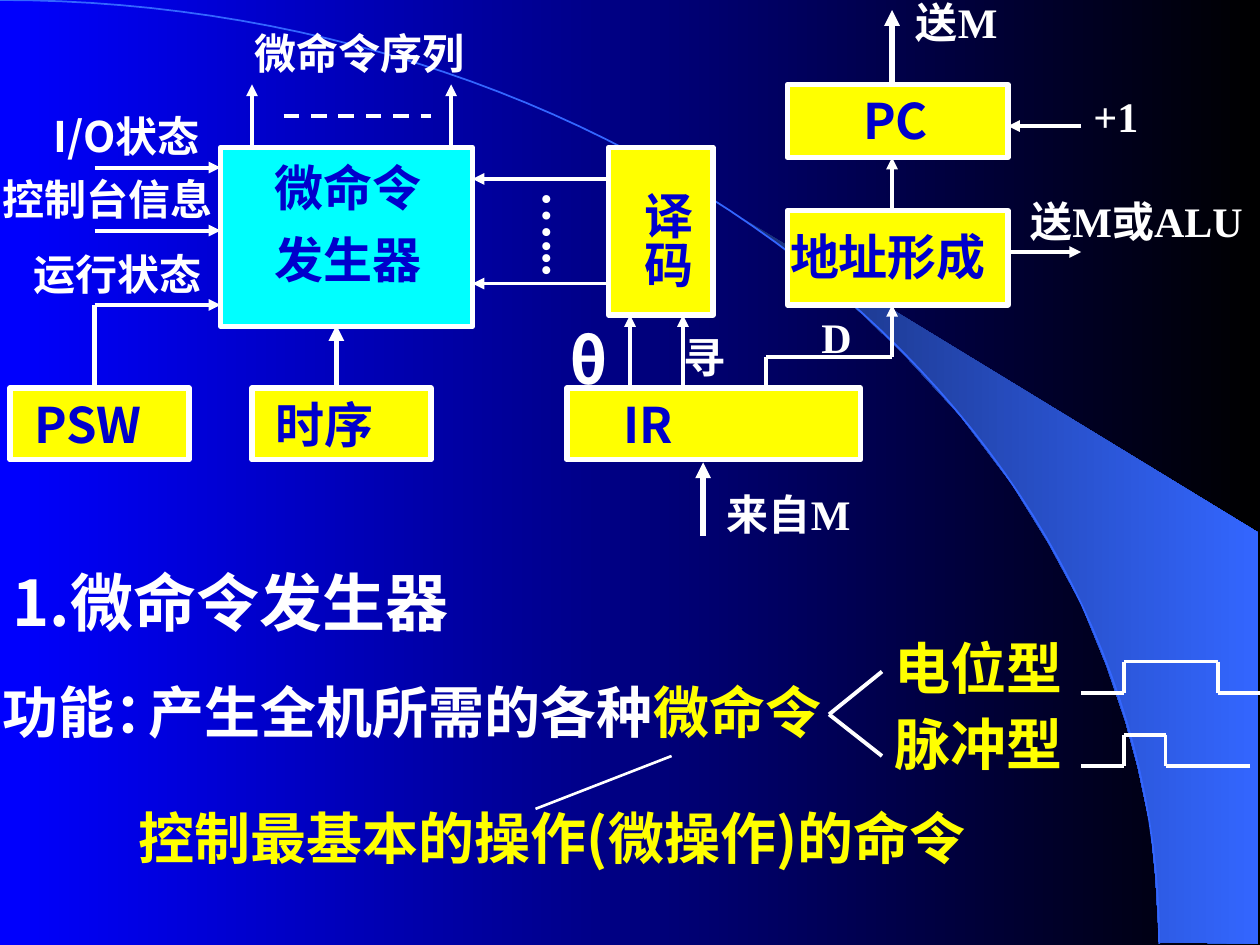
import math
from collections import namedtuple
from itertools import pairwise

from lxml import etree
from pptx import Presentation
from pptx.dml.color import RGBColor
from pptx.enum import dml, shapes, text
from pptx.oxml import ns
from pptx.util import Inches, Pt

WHITE, YELLOW, CYAN, NAVY = "FFFFFF", "FFFF00", "00FFFF", "0000CC"
SERIF, SANS = "Times New Roman", "Noto Sans CJK SC"


class Box(namedtuple("Box", "left top width height")):
    """A rectangle in inches."""

    def inner(self, x, y, width, height):
        """Return a rectangle placed relative to this one."""
        return Box(self.left + x, self.top + y, width, height)

    def point(self, x, y):
        """Return a point of this rectangle as lengths."""
        return Inches(self.left + x), Inches(self.top + y)

    def lengths(self):
        """Return the four sides as lengths."""
        return [Inches(side) for side in self]


def color(value):
    """Turn a hex string into a colour."""
    return RGBColor.from_string(value)


def paint_gradient(fill, first, last):
    """Fill from left to right with two colours."""
    fill.gradient()
    fill.gradient_angle = 0
    for stop, value in zip(fill.gradient_stops, (first, last)):
        stop.color.rgb = color(value)


def write(shape, lines, size, hue, face=SERIF, spacing=None, inset=(0.1, 0.05, 0.1, 0.05)):
    """Write bold lines, each a list of (words, colour or None) spans."""
    frame = shape.text_frame
    frame.word_wrap = True
    frame.vertical_anchor = text.MSO_ANCHOR.TOP
    (frame.margin_left, frame.margin_top,
     frame.margin_right, frame.margin_bottom) = [Inches(side) for side in inset]
    for index, spans in enumerate(lines):
        para = frame.add_paragraph() if index else frame.paragraphs[0]
        para.alignment = text.PP_ALIGN.LEFT
        if spacing:
            para.line_spacing = spacing
        if index:
            para.space_before = Pt(size * 0.625)
        font = para.font
        font.name, font.size, font.bold = face, Pt(size), True
        font.color.rgb = color(hue)
        etree.SubElement(font._element, ns.qn("a:ea"), typeface=SANS)
        for words, accent in spans:
            span = para.add_run()
            span.text = words
            if accent:
                span.font.color.rgb = color(accent)


def add_text(page, box, words, size=24, hue=WHITE, face=SERIF, spacing=None):
    """Add a text box holding one line per string."""
    shape = page.shapes.add_textbox(*box.lengths())
    write(shape, [[(line, None)] for line in words.split("\n")], size, hue, face, spacing)


def add_vertical(page, box, words, hue):
    """Add a text box that reads downwards."""
    shape = page.shapes.add_textbox(*box.lengths())
    write(shape, [[(words, None)]], 28, hue, inset=(0.05, 0.1, 0.05, 0.1))
    shape.text_frame._txBody.bodyPr.set("vert", "eaVert")


def add_unit(page, box, words="", left=0.19, top=0.05, face=SANS, fill=YELLOW, spacing=None):
    """Add a framed hardware unit with its name."""
    unit = page.shapes.add_shape(shapes.MSO_SHAPE.RECTANGLE, *box.lengths())
    unit.shadow.inherit = False
    unit.fill.solid()
    unit.fill.fore_color.rgb = color(fill)
    unit.line.color.rgb = color(WHITE)
    unit.line.width = Pt(3)
    if words:
        write(unit, [[(line, None)] for line in words.split("\n")], 28, NAVY, face, spacing,
              (left, top, 0, 0.05))


def add_lines(page, box, points, width=2.25, arrow=False, dash=False):
    """Join points with straight lines, with an arrowhead at the last if asked."""
    for start, end in pairwise(points):
        link = page.shapes.add_connector(
            shapes.MSO_CONNECTOR.STRAIGHT, *box.point(*start), *box.point(*end))
        link.line.color.rgb = color(WHITE)
        link.line.width = Pt(width)
        if dash:
            link.line.dash_style = dml.MSO_LINE.DASH
        if arrow and end == points[-1]:
            etree.SubElement(link.line._get_or_add_ln(), ns.qn("a:tailEnd"), type="triangle")
        etree.SubElement(link._element.spPr, ns.qn("a:effectLst"))


def add_outline(page, box, points, close):
    """Add a freeform through the points."""
    first, *rest = [box.point(*point) for point in points]
    builder = page.shapes.build_freeform(*first, scale=1.0)
    builder.add_line_segments(rest, close=close)
    shape = builder.convert_to_shape()
    shape.shadow.inherit = False
    return shape


def draw_backdrop(page, box):
    """Draw the gradient, the wedge of light and the arc."""
    paint_gradient(page.background.fill, "0000FF", "000000")
    wedge = add_outline(page, box, [
        (9.2, 7.48), (9.99, 7.49), (9.99, 4.23), (5.89, 1.73), (6.24, 1.99), (6.53, 2.22),
        (6.85, 2.5), (7.16, 2.8), (7.62, 3.3), (8.03, 3.84), (8.32, 4.31), (8.58, 4.79),
        (8.78, 5.28), (8.93, 5.72), (9.03, 6.09), (9.13, 6.56), (9.17, 6.96)], True)
    paint_gradient(wedge.fill, "182F76", "3366FF")
    wedge.line.fill.background()
    angles = [math.radians(1.5 * step) for step in range(61)]
    arc = add_outline(page, box, [
        (9.2 * math.sin(angle), 7.49 * (1 - math.cos(angle))) for angle in angles], False)
    arc.fill.background()
    arc.line.color.rgb = color("3366FF")
    arc.line.width = Pt(1)


def draw_generator(page, box):
    """Draw the generator with its inputs, outputs, status word and timing."""
    add_text(page, box.inner(1.92, 0, 1.92, 0.5), "微命令序列")
    add_lines(page, box, [(2.25, 0.75), (3.42, 0.75)], dash=True)
    for x in (2, 3.58):
        add_lines(page, box, [(x, 1), (x, 0.5)], arrow=True)
    inputs = [("I/O状态", 0.33, 0.66, 1.16, SANS), ("控制台信息", -0.08, 1.16, 1.66, SERIF),
              ("运行状态", 0.17, 1.75, 2.25, SERIF)]
    for words, left, top, y, face in inputs:
        add_text(page, box.inner(left, top, 1.92, 0.5), words, face=face)
        add_lines(page, box, [(0.75, y), (1.75, y)], arrow=True)
    add_lines(page, box, [(0.75, 2.25), (0.75, 2.91)], 3)
    add_lines(page, box, [(2.67, 3), (2.67, 2.41)], 3, arrow=True)
    add_unit(page, box.inner(0.08, 2.91, 1.42, 0.57), "PSW")
    add_unit(page, box.inner(2, 2.91, 1.42, 0.57), "时序")
    add_unit(page, box.inner(1.75, 1, 2, 1.42), "微命令\n发生器", 0.43, 0.21, SERIF, CYAN, 0.7)


def draw_decoder(page, box):
    """Draw the decoder above the instruction register."""
    add_unit(page, box.inner(1.08, 0, 0.83, 1.33))
    add_vertical(page, box.inner(1.17, 0.25, 0.66, 1.08), "译码", NAVY)
    add_vertical(page, box.inner(0.34, 0.25, 0.66, 1.08), "…...", WHITE)
    for y in (0.25, 1.08):
        add_lines(page, box, [(1.08, y), (0, y)], arrow=True)
    add_unit(page, box.inner(0.75, 1.91, 2.33, 0.57), "IR", 0.45)
    for x in (1.25, 1.67):
        add_lines(page, box, [(x, 1.91), (x, 1.33)], arrow=True)
    add_lines(page, box, [(1.83, 3.08), (1.83, 2.5)], 3, arrow=True)
    add_text(page, box.inner(0.67, 1.33, 1.25, 0.7), "θ", 36, face=SANS)
    add_text(page, box.inner(1.58, 1.41, 1.08, 0.5), "寻")
    add_text(page, box.inner(1.92, 2.66, 1.92, 0.5), "来自M")


def draw_address(page, box):
    """Draw the program counter and the address unit."""
    add_unit(page, box.inner(0.25, 0.67, 1.75, 0.58), "PC", 0.6)
    add_unit(page, box.inner(0.25, 1.67, 1.75, 0.75), "地址形成", 0.02, 0.13, SERIF)
    add_lines(page, box, [(1.08, 0.67), (1.08, 0.08)], 3, arrow=True)
    for points in ([(1.08, 1.67), (1.08, 1.25)], [(2.58, 1), (2, 1)], [(2, 2), (2.58, 2)],
                   [(0.08, 3.08), (0.08, 2.83), (1.08, 2.83), (1.08, 2.42)]):
        add_lines(page, box, points, arrow=True)
    add_text(page, box.inner(1.17, -0.08, 1.08, 0.5), "送M")
    add_text(page, box.inner(2.58, 0.67, 1.08, 0.5), "+1")
    add_text(page, box.inner(2.08, 1.5, 1.92, 0.9), "送M或ALU")
    add_text(page, box.inner(0.42, 2.42, 1.08, 0.5), "D")


def draw_pulse(page, box, high):
    """Draw a square pulse whose top is as long as given."""
    rise, fall, base = 0.34, 0.34 + high, box.height
    add_lines(page, box, [(0, base), (rise, base), (rise, 0), (fall, 0), (fall, base),
                          (box.width, base)])


def draw_notes(page, box):
    """Write the explanation with its two command types."""
    add_text(page, box.inner(0, 0, 4.08, 0.7), "1.微命令发生器", 36, face=SANS)
    add_text(page, box.inner(-0.08, 0.91, 1.67, 0.64), "功能：", 32)
    purpose = page.shapes.add_textbox(*box.inner(1.08, 0.91, 6.92, 0.64).lengths())
    write(purpose, [[("产生全机所需的各种", None), ("微命令", YELLOW)]], 32, WHITE)
    add_lines(page, box, [(4.25, 2), (5.33, 1.58)], 1.5)
    add_text(page, box.inner(1, 1.91, 7.25, 0.64), "控制最基本的操作(微操作)的命令", 32, YELLOW, SANS)
    add_lines(page, box, [(7, 0.91), (6.58, 1.25), (7, 1.58)])
    add_text(page, box.inner(7, 0.75, 1.67, 1.02), "电位型\n脉冲型", 32, YELLOW, spacing=0.6)
    draw_pulse(page, box.inner(8.58, 0.83, 1.42, 0.25), 0.75)
    draw_pulse(page, box.inner(8.58, 1.41, 1.34, 0.25), 0.33)


def main():
    """Build and save the slide."""
    deck = Presentation()
    deck.slide_width, deck.slide_height = Inches(10), Inches(7.5)
    page = deck.slides.add_slide(deck.slide_layouts[6])
    draw_backdrop(page, Box(0, 0, 10, 7.5))
    draw_decoder(page, Box(3.75, 1.17, 3.08, 3.16))
    draw_address(page, Box(6, 0, 4, 3.08))
    draw_generator(page, Box(0, 0.17, 3.84, 3.48))
    draw_notes(page, Box(0, 4.42, 10, 2.55))
    deck.save("out.pptx")


if __name__ == "__main__":
    main()
